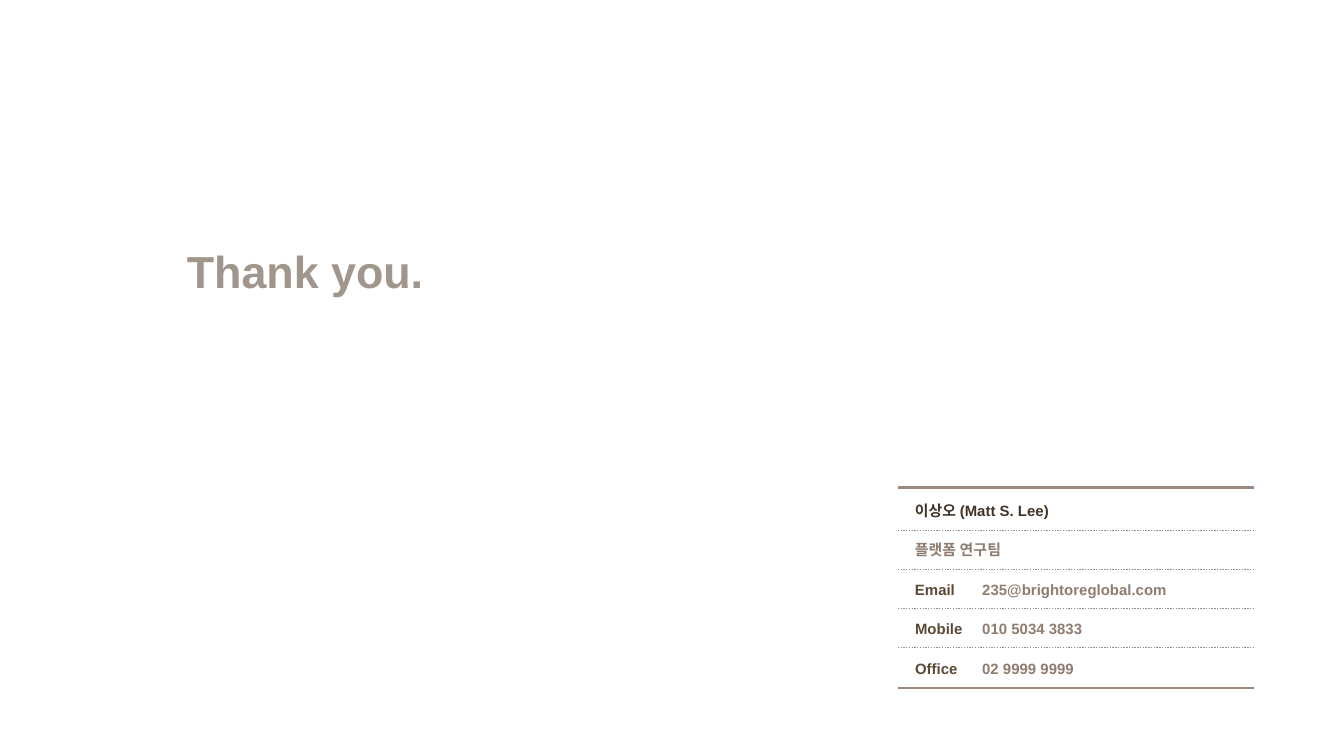
from dataclasses import dataclass

from pptx import Presentation
from pptx.dml.color import RGBColor
from pptx.enum import dml, shapes, text
from pptx.oxml.ns import qn
from pptx.util import Inches, Pt


@dataclass(frozen=True)
class Theme:
    font: str = "Arial"
    title: str = "A1968B"
    name: str = "413327"
    label: str = "5B4837"
    detail: str = "8F7C71"
    rule: str = "9A897E"
    title_size: float = 24
    body_size: float = 8
    border_width: float = 1.5
    divider_width: float = 0.75


THEME = Theme()
ROWS = [
    [("이상오 (Matt S. Lee)", THEME.name, 1.36)],
    [("플랫폼 연구팀", THEME.detail, 1.04)],
    [("Email", THEME.label, 0.63), ("235@brightoreglobal.com", THEME.detail, 1.71)],
    [("Mobile", THEME.label, 0.59), ("010 5034 3833", THEME.detail, 1.08)],
    [("Office", THEME.label, 0.55), ("02 9999 9999", THEME.detail, 0.9)],
]


def write_text(shape, wording, color, size, alignment):
    frame = shape.text_frame
    frame.text = wording
    frame.word_wrap = False
    frame.auto_size = text.MSO_AUTO_SIZE.SHAPE_TO_FIT_TEXT
    frame.vertical_anchor = text.MSO_ANCHOR.TOP
    paragraph = frame.paragraphs[0]
    paragraph.alignment = alignment
    paragraph.font.name = THEME.font
    paragraph.font.size = Pt(size)
    paragraph.font.bold = True
    paragraph.font.color.rgb = RGBColor.from_string(color)


def add_rule(slide, left, top, width, weight, dash=None):
    rule = slide.shapes.add_connector(
        shapes.MSO_CONNECTOR.STRAIGHT,
        Inches(left), Inches(top), Inches(left + width), Inches(top),
    )
    rule.line.color.rgb = RGBColor.from_string(THEME.rule)
    rule.line.width = Pt(weight)
    if dash is not None:
        rule.line.dash_style = dash
    properties = rule._element.spPr
    properties.append(properties.makeelement(qn("a:effectLst"), {}))


def place_title(slide, left, top, width, height):
    title = slide.shapes.title
    title.left, title.top = Inches(left), Inches(top)
    title.width, title.height = Inches(width), Inches(height)
    write_text(title, "Thank you.", THEME.title, THEME.title_size, text.PP_ALIGN.CENTER)


def add_contact_card(slide, left, top, width, height):
    for offset in (0, height):
        add_rule(slide, left, top + offset, width, THEME.border_width)
    for index in range(len(ROWS) - 1):
        add_rule(slide, left, top + 0.32 + 0.29 * index, width,
                 THEME.divider_width, dml.MSO_LINE.ROUND_DOT)

    text_pitch = (height - 0.02) / len(ROWS)
    column_offsets = (0.03, 0.53)
    for index, row in enumerate(ROWS):
        row_top = top + 0.05 + text_pitch * index
        for offset, (wording, color, text_width) in zip(column_offsets, row):
            box = slide.shapes.add_textbox(
                Inches(left + offset), Inches(row_top), Inches(text_width), Inches(0.23)
            )
            write_text(box, wording, color, THEME.body_size, text.PP_ALIGN.LEFT)


def main():
    presentation = Presentation()
    presentation.slide_width = Inches(10)
    presentation.slide_height = presentation.slide_width * 9 // 16
    slide = presentation.slides.add_slide(presentation.slide_layouts.get_by_name("Title Only"))
    place_title(slide, 1.28, 1.76, 1.98, 0.5)
    add_contact_card(slide, 6.68, 3.63, 2.65, 1.49)
    presentation.save("out.pptx")


if __name__ == "__main__":
    main()
